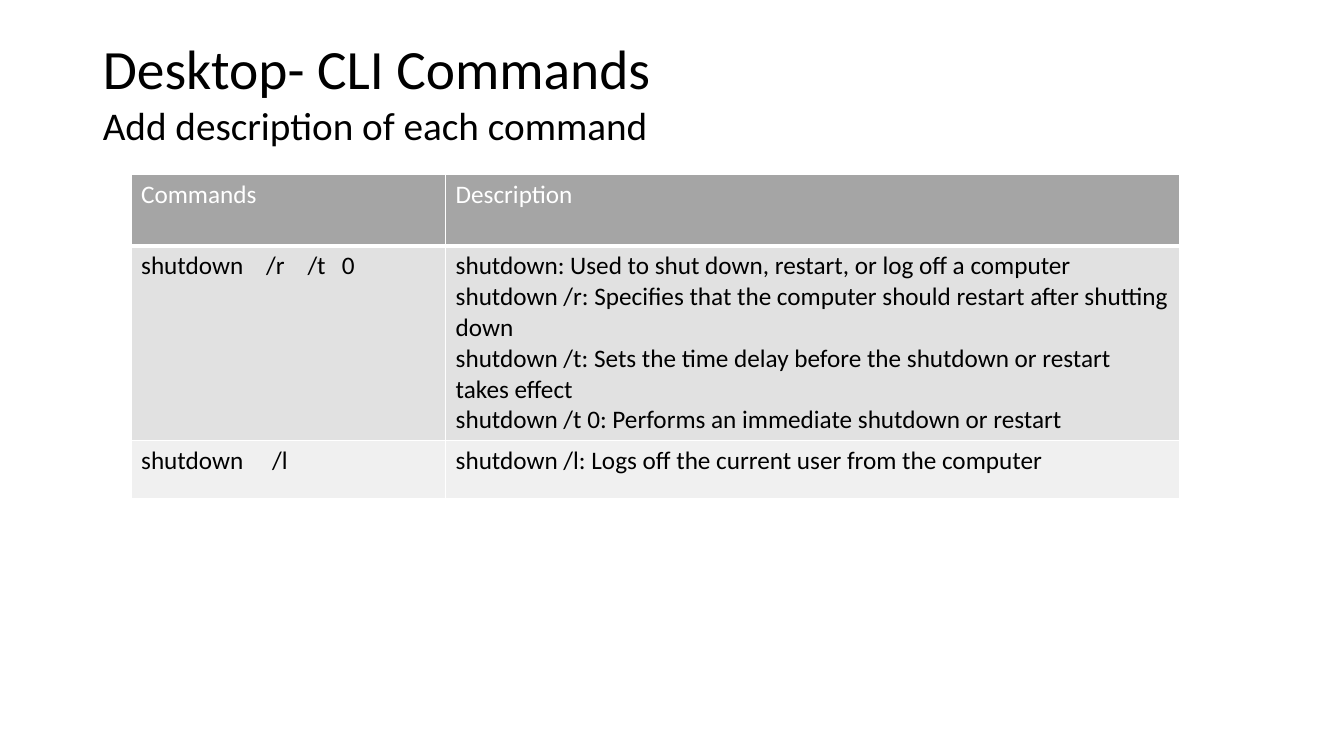
"""Build a slide listing shutdown commands and their descriptions."""
from lxml import etree
from pptx import Presentation
from pptx.dml.color import RGBColor
from pptx.enum.text import MSO_ANCHOR, MSO_AUTO_SIZE, PP_ALIGN
from pptx.oxml.ns import qn
from pptx.util import Inches, Pt

LEFT = PP_ALIGN.LEFT
TOP, MIDDLE = MSO_ANCHOR.TOP, MSO_ANCHOR.MIDDLE
NO_FIT = MSO_AUTO_SIZE.NONE
FONT = "Calibri"
WHITE, BLACK = "FFFFFF", "000000"


def add_run(p, text, size, color):
    r = p.add_run()
    r.text = text
    r.font.name = FONT
    r.font.size = Pt(size)
    r.font.bold = False
    r.font.color.rgb = RGBColor.from_string(color)


def add_border(cell, side, width):
    ln = etree.SubElement(cell._tc.get_or_add_tcPr(), qn(f"a:{side}"), w=str(Pt(width)))
    fill = etree.SubElement(ln, qn("a:solidFill"))
    etree.SubElement(fill, qn("a:srgbClr"), val=WHITE)


prs = Presentation()
prs.slide_width, prs.slide_height = Inches(13.33), Inches(7.5)
s = prs.slides.add_slide(prs.slide_layouts[1])

headings = [
    (s.shapes.title, "Desktop- CLI Commands", 39.6, 0.4, 0.61, MIDDLE, 0),
    (s.placeholders[1], "Add description of each command", 28, 1.01, 4.76, TOP, 10),
]
for sp, text, size, top, height, anchor, before in headings:
    sp.left, sp.top = Inches(0.92), Inches(top)
    sp.width, sp.height = Inches(11.5), Inches(height)
    tf = sp.text_frame
    tf.auto_size, tf.vertical_anchor, tf.word_wrap = NO_FIT, anchor, True
    p = tf.paragraphs[0]
    p.alignment, p.line_spacing, p.space_before = LEFT, 0.9, Pt(before)
    pPr = p._p.get_or_add_pPr()
    pPr.set("marL", "0")
    pPr.set("indent", "0")
    etree.SubElement(pPr, qn("a:buNone"))
    add_run(p, text, size, BLACK)

rows = [
    (0.71, "A5A5A5", WHITE, [], ["Commands"], ["Description"]),
    (1.93, "E1E1E1", BLACK, [1.24, 1.65, 1.99], ["shutdown\t/r\t/t\t0"], [
        "shutdown: Used to shut down, restart, or log off a computer",
        "shutdown /r: Specifies that the computer should restart after shutting down",
        "shutdown /t: Sets the time delay before the shutdown or restart takes effect",
        "shutdown /t 0: Performs an immediate shutdown or restart",
    ]),
    (0.58, "F0F0F0", BLACK, [1.3], ["shutdown\t/l"],
     ["shutdown /l: Logs off the current user from the computer"]),
]
table = s.shapes.add_table(
    len(rows), 2, Inches(1.3), Inches(1.73), Inches(10.4), Inches(3.22)).table
for column, width in zip(table.columns, (3.12, 7.28)):
    column.width = Inches(width)

for i, (height, fill, color, tabs, *texts) in enumerate(rows):
    table.rows[i].height = Inches(height)
    for j, lines in enumerate(texts):
        cell = table.cell(i, j)
        for side in ("lnL", "lnR", "lnT", "lnB"):
            add_border(cell, side, 3 if i == 0 and side == "lnB" else 1)
        cell.fill.solid()
        cell.fill.fore_color.rgb = RGBColor.from_string(fill)
        tf = cell.text_frame
        for k, line in enumerate(lines):
            p = tf.add_paragraph() if k else tf.paragraphs[0]
            p.alignment = LEFT
            if j == 0 and tabs:
                tab_list = etree.SubElement(p._p.get_or_add_pPr(), qn("a:tabLst"))
                for tab in tabs:
                    etree.SubElement(tab_list, qn("a:tab"), pos=str(Inches(tab)), algn="l")
            add_run(p, line, 18, color)

prs.save("out.pptx")
